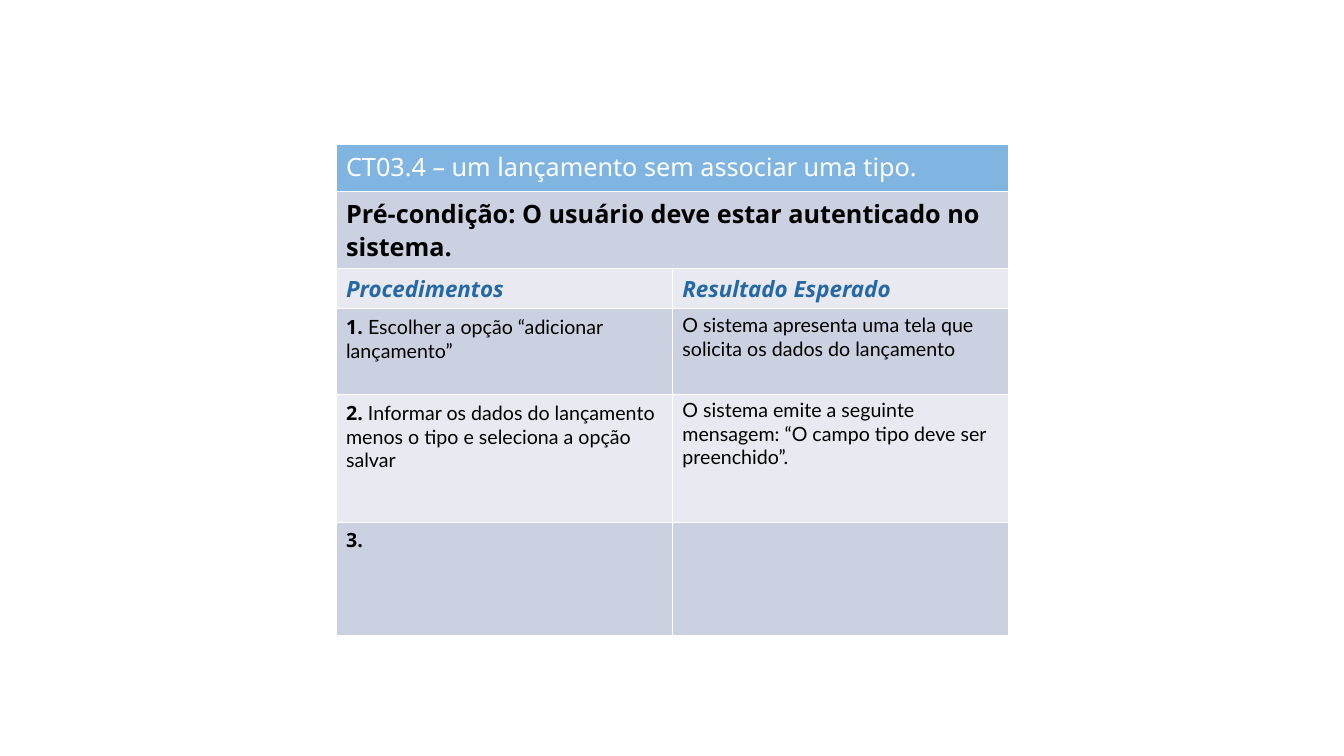
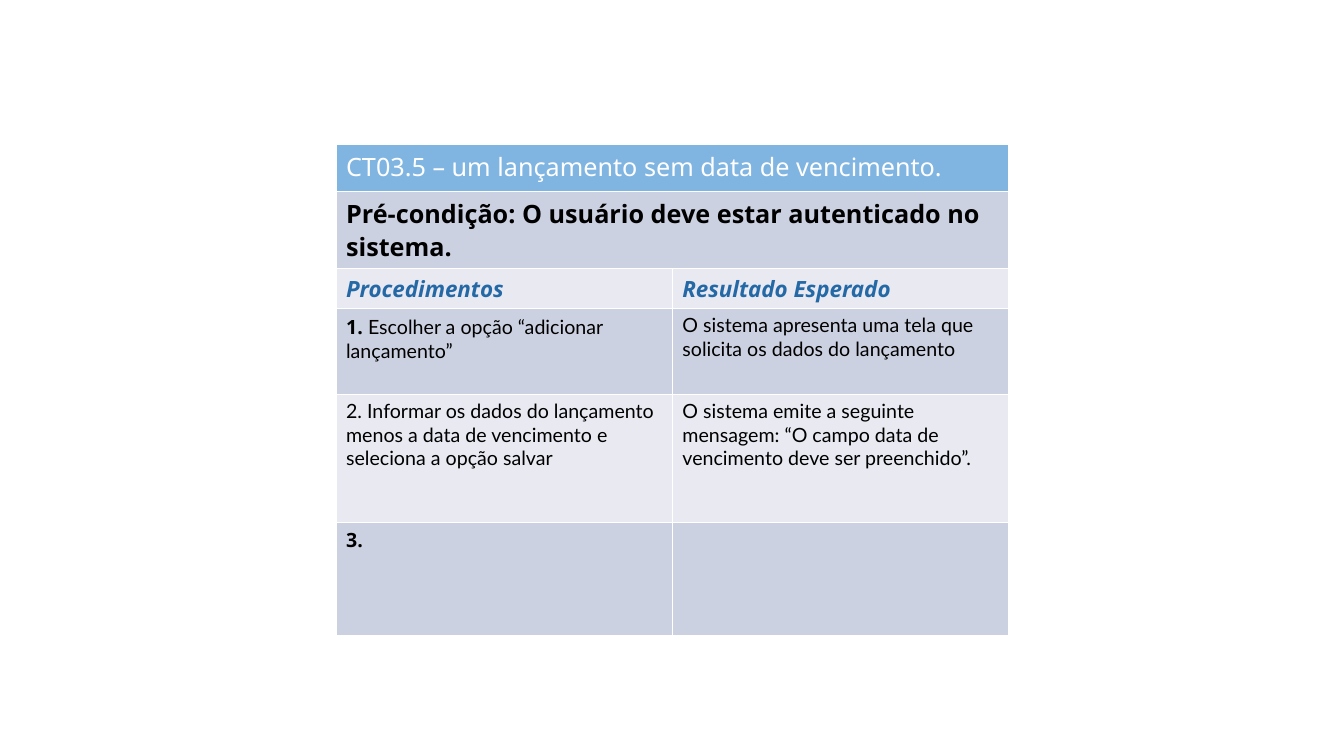
from dataclasses import dataclass

from lxml.etree import SubElement
from pptx import Presentation
from pptx.dml.color import RGBColor
from pptx.oxml.ns import qn
from pptx.util import Pt

WHITE, BLACK, BLUE = "FFFFFF", "000000", "2469A6"
HEADER_FILL, DARK_BAND, LIGHT_BAND = "80B5E2", "CCD1E1", "E8E9F1"
TABLE_LEFT, TABLE_TOP = 240, 103
COLUMN_WIDTHS = (240.25, 239.75)
ROW_HEIGHTS = (33.6, 50.4, 26.6, 61.4, 91, 80.6)
TIGHT_SPACING = 0.98
THIN_LINE, HEADER_LINE = 0.23, 0.74
BORDER_TAGS = ("a:lnL", "a:lnR", "a:lnT", "a:lnB")


@dataclass(frozen=True)
class Style:
    """Character formatting of a span."""
    size: float
    font: str = "Noto Sans"
    color: str = BLACK
    bold: bool = False
    italic: bool = False


@dataclass(frozen=True)
class Span:
    """A piece of text in one style."""
    text: str
    style: Style


@dataclass(frozen=True)
class CellText:
    """The spans of one cell and its line spacing."""
    spans: tuple[Span, ...] = ()
    spacing: float = TIGHT_SPACING


@dataclass(frozen=True)
class TestCase:
    """A test case: its title and the cells of its second step."""
    title: str
    procedure: CellText
    result: CellText


TITLE = Style(18, color=WHITE)
CONDITION = Style(18, bold=True)
HEADING = Style(16, color=BLUE, bold=True, italic=True)
NUMBER = Style(14, bold=True)
BODY = Style(14, font="Lato")

CASES = (
    TestCase(
        "CT03.4 – um lançamento sem associar uma tipo.",
        CellText((Span("2.", NUMBER),
                  Span(" Informar os dados do lançamento menos o tipo e "
                       "seleciona a opção salvar", BODY))),
        CellText((Span("O sistema emite a seguinte mensagem: “O campo tipo "
                       "deve ser preenchido”.", BODY),)),
    ),
    TestCase(
        "CT03.5 – um lançamento sem data de vencimento.",
        CellText((Span("2. Informar os dados do lançamento menos a data de "
                       "vencimento e seleciona a opção salvar", BODY),), 1.0),
        CellText((Span("O sistema emite a seguinte mensagem: “O campo data de "
                       "vencimento deve ser preenchido”.", BODY),), 1.0),
    ),
)


def rgb(value: str) -> RGBColor:
    """Turn a hex string into a colour."""
    return RGBColor.from_string(value)


def case_rows(case: TestCase) -> list[tuple[CellText, ...]]:
    """List the table rows of a test case; a row of one cell spans the table."""
    return [
        (CellText((Span(case.title, TITLE),)),),
        (CellText((Span("Pré-condição: O usuário deve estar autenticado no "
                        "sistema.", CONDITION),)),),
        (CellText((Span("Procedimentos", HEADING),)),
         CellText((Span("Resultado Esperado", HEADING),))),
        (CellText((Span("1. ", NUMBER),
                   Span("Escolher a opção “adicionar lançamento”", BODY))),
         CellText((Span("O sistema apresenta uma tela que solicita os dados "
                        "do lançamento", BODY),), 1.0)),
        (case.procedure, case.result),
        (CellText((Span("3. ", NUMBER),)), CellText()),
    ]


def row_fill(row: int) -> str:
    """Give the header colour, then alternate the two bands."""
    if row == 0:
        return HEADER_FILL
    return DARK_BAND if row % 2 else LIGHT_BAND


def border_width(row: int, tag: str) -> float:
    """Give the line width of a cell edge, heavier under the header."""
    under_header = (row, tag) in ((0, "a:lnB"), (1, "a:lnT"))
    return HEADER_LINE if under_header else THIN_LINE


def paint_cell(cell, row: int) -> None:
    """Draw the borders and the fill of a cell."""
    properties = cell._tc.get_or_add_tcPr()
    for tag in BORDER_TAGS:
        line = SubElement(properties, qn(tag), w=str(Pt(border_width(row, tag))))
        SubElement(SubElement(line, qn("a:solidFill")), qn("a:srgbClr"), val=WHITE)
    cell.fill.solid()
    cell.fill.fore_color.rgb = rgb(row_fill(row))


def write_cell(cell, content: CellText) -> None:
    """Write the formatted spans of a cell."""
    para = cell.text_frame.paragraphs[0]
    para.line_spacing = content.spacing
    for span in content.spans:
        run = para.add_run()
        run.text = span.text
        run.font.name = span.style.font
        run.font.size = Pt(span.style.size)
        run.font.bold = span.style.bold
        run.font.italic = span.style.italic
        run.font.color.rgb = rgb(span.style.color)


def add_case_page(deck, case: TestCase) -> None:
    """Add a page with the table of one test case."""
    page = deck.slides.add_slide(deck.slide_layouts.get_by_name("Blank"))
    table = page.shapes.add_table(
        len(ROW_HEIGHTS), len(COLUMN_WIDTHS), Pt(TABLE_LEFT), Pt(TABLE_TOP),
        Pt(sum(COLUMN_WIDTHS)), Pt(sum(ROW_HEIGHTS))).table
    for column, width in zip(table.columns, COLUMN_WIDTHS):
        column.width = Pt(width)
    for index, contents in enumerate(case_rows(case)):
        row = table.rows[index]
        row.height = Pt(ROW_HEIGHTS[index])
        for cell in row.cells:
            paint_cell(cell, index)
        if len(contents) == 1:
            row.cells[0].merge(row.cells[1])
        for cell, content in zip(row.cells, contents):
            write_cell(cell, content)


def main() -> None:
    """Build and save the deck."""
    deck = Presentation()
    deck.slide_width, deck.slide_height = Pt(960), Pt(540)
    for case in CASES:
        add_case_page(deck, case)
    deck.save("out.pptx")


main()
